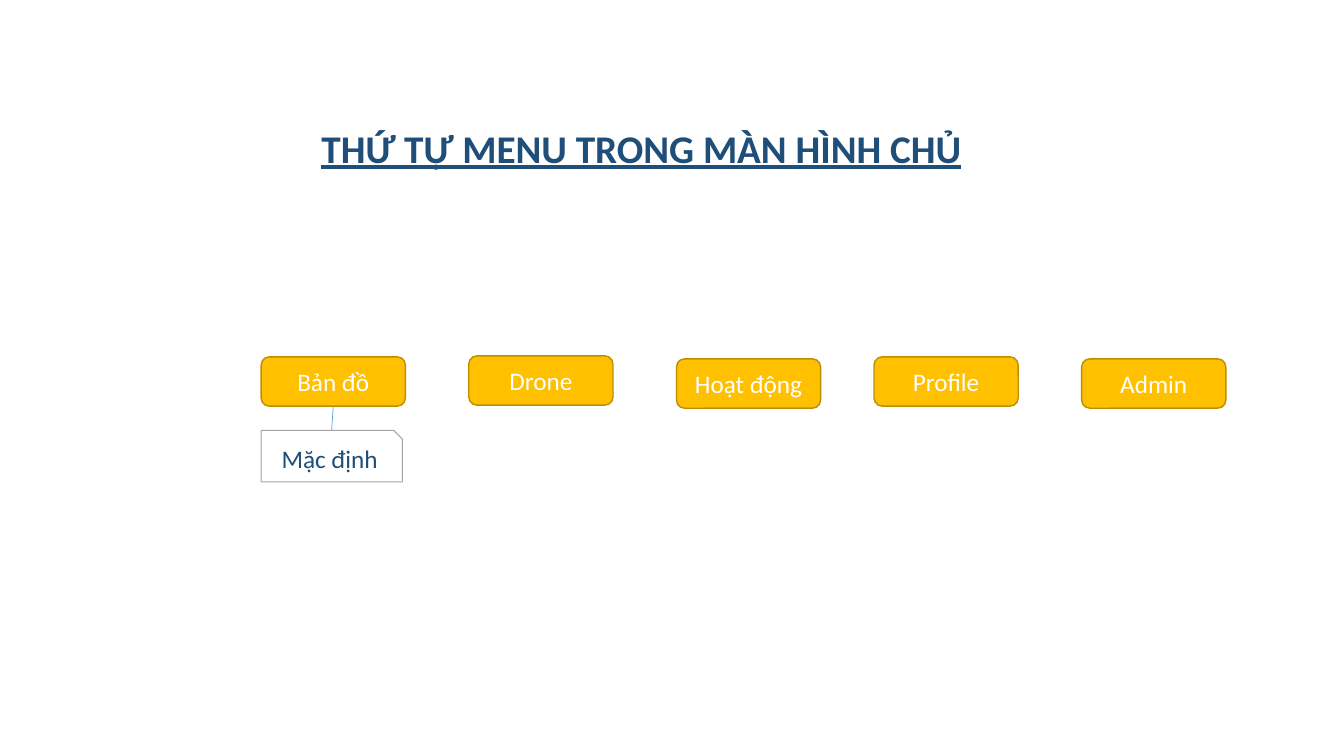
from dataclasses import dataclass
from typing import Optional

from pptx import Presentation
from pptx.dml.color import RGBColor
from pptx.enum.shapes import MSO_CONNECTOR as Link, MSO_SHAPE as Preset
from pptx.enum.text import MSO_ANCHOR as Anchor, MSO_AUTO_SIZE as Fit, PP_ALIGN as Align
from pptx.oxml.ns import qn
from pptx.shapes.autoshape import Shape
from pptx.util import Inches, Pt

AMBER = RGBColor(0xFF, 0xC0, 0x00)
BRONZE = RGBColor(0xBD, 0x8E, 0x00)
WHITE = RGBColor(0xFF, 0xFF, 0xFF)
NAVY = RGBColor(0x1F, 0x4E, 0x79)
GRAY = RGBColor(0xA5, 0xA5, 0xA5)
SKY = RGBColor(0x5B, 0x9B, 0xD5)

deck = Presentation()
deck.slide_width, deck.slide_height = Inches(13.33), Inches(7.5)
COLUMN, ROW = deck.slide_width / 100, deck.slide_height / 100
PITCH = 15.45
LEFT_GROUP, RIGHT_GROUP = 19.43, 65.03


@dataclass(frozen=True)
class Box:
    text: str
    column: float
    row: float
    columns: float = 10.73
    rows: float = 6.53


@dataclass(frozen=True)
class Style:
    preset: Preset
    fill: Optional[RGBColor]
    line: RGBColor
    weight: float
    ink: RGBColor


MENU_STYLE = Style(Preset.ROUNDED_RECTANGLE, AMBER, BRONZE, 1, WHITE)
NOTE_STYLE = Style(Preset.SNIP_1_RECTANGLE, None, GRAY, 0.75, NAVY)

HEADING = Box("THỨ TỰ MENU TRONG MÀN HÌNH CHỦ", 18.83, 15.73, 57.76, 7.6)
MENU = [
    Box("Bản đồ", LEFT_GROUP, 47.2),
    Box("Drone", LEFT_GROUP + PITCH, 47.07),
    Box("Hoạt động", LEFT_GROUP + 2 * PITCH, 47.47),
    Box("Profile", RIGHT_GROUP, 47.2),
    Box("Admin", RIGHT_GROUP + PITCH, 47.47),
]
DEFAULT_NOTE = Box("Mặc định", LEFT_GROUP, 56.93, 10.5, 6.8)


def frame(box: Box) -> tuple[int, int, int, int]:
    return (round(box.column * COLUMN), round(box.row * ROW),
            round(box.columns * COLUMN), round(box.rows * ROW))


def write(shape: Shape, text: str, anchor: Anchor, formats: dict) -> None:
    body = shape.text_frame
    body.text = text
    body.word_wrap = True
    body.vertical_anchor = anchor
    paragraph = body.paragraphs[0]
    paragraph.alignment = Align.CENTER
    font = paragraph.runs[0].font
    font.color.rgb = formats["color"]
    for attribute, value in formats.items():
        if attribute != "color":
            setattr(font, attribute, value)


def draw_box(box: Box, style: Style) -> Shape:
    shape = slide.shapes.add_shape(style.preset, *frame(box))
    shape.shadow.inherit = False
    if style.fill is None:
        shape.fill.background()
    else:
        shape.fill.solid()
        shape.fill.fore_color.rgb = style.fill
    shape.line.color.rgb = style.line
    shape.line.width = Pt(style.weight)
    write(shape, box.text, Anchor.MIDDLE,
          {"name": "Calibri", "size": Pt(18), "color": style.ink})
    return shape


def draw_link(upper: Shape, lower: Shape) -> None:
    link = slide.shapes.add_connector(
        Link.STRAIGHT,
        upper.left + upper.width // 2, upper.top + upper.height,
        lower.left + lower.width // 2, lower.top)
    link.line.color.rgb = SKY
    link.line.width = Pt(0.5)
    properties = link.element.spPr
    properties.append(properties.makeelement(qn("a:effectLst"), {}))


slide = deck.slides.add_slide(deck.slide_layouts[5])
heading = slide.shapes.title
heading.left, heading.top, heading.width, heading.height = frame(HEADING)
write(heading, HEADING.text, Anchor.TOP,
      {"name": "Calibri", "size": Pt(28), "bold": True, "underline": True, "color": NAVY})
heading.text_frame.auto_size = Fit.SHAPE_TO_FIT_TEXT

menu_boxes = [draw_box(box, MENU_STYLE) for box in MENU]
default_note = draw_box(DEFAULT_NOTE, NOTE_STYLE)
draw_link(menu_boxes[0], default_note)

deck.save("out.pptx")
